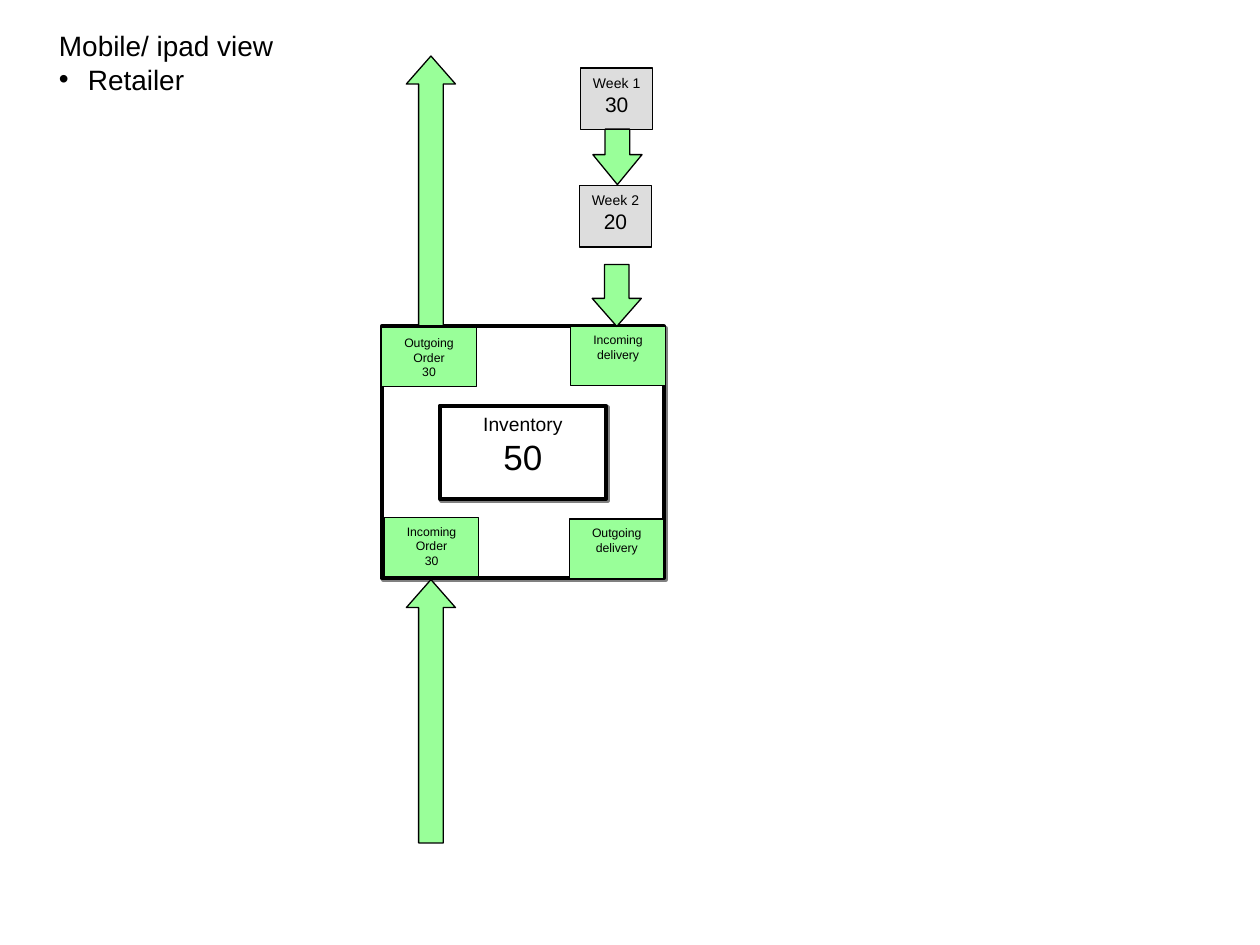
from dataclasses import dataclass

from lxml import etree
from pptx import Presentation
from pptx.dml.color import RGBColor
from pptx.enum.shapes import MSO_SHAPE
from pptx.enum.text import MSO_ANCHOR, MSO_AUTO_SIZE, PP_ALIGN
from pptx.oxml.ns import qn
from pptx.util import Inches, Pt

RECTANGLE, LEFT_ARROW = MSO_SHAPE.RECTANGLE, MSO_SHAPE.LEFT_ARROW
TOP, MIDDLE = MSO_ANCHOR.TOP, MSO_ANCHOR.MIDDLE
LEFT, CENTER = PP_ALIGN.LEFT, PP_ALIGN.CENTER
FIT_SHAPE = MSO_AUTO_SIZE.SHAPE_TO_FIT_TEXT
UP, DOWN = 90, 270  # turns of a left arrow


@dataclass(frozen=True)
class Theme:
    font: str = "Arial"
    ink: str = "000000"
    paper: str = "FFFFFF"
    green: str = "99FF99"
    gray: str = "DDDDDD"
    shadow: str = "808080"
    title: int = 16
    total: int = 20
    heading: int = 11
    quantity: int = 12
    week: int = 8
    label: int = 7
    thin: float = 0.74
    thick: float = 2.24


class Board:
    """Draws on one slide; lengths are columns and rows of a 0.1 inch grid."""

    def __init__(self, slide, theme):
        self.slide, self.theme = slide, theme

    def box_area(self, *lengths):
        return [Inches(length / 10) for length in lengths]

    def paint(self, shape, fill, width):
        shape.shadow.inherit = False
        shape.fill.solid()
        shape.fill.fore_color.rgb = RGBColor.from_string(fill)
        shape.line.color.rgb = RGBColor.from_string(self.theme.ink)
        shape.line.width = Pt(width)

    def add_lines(self, frame, lines, align, anchor=TOP):
        frame.word_wrap = False
        frame.vertical_anchor = anchor
        for index, (text, size) in enumerate(lines):
            paragraph = frame.paragraphs[0] if index == 0 else frame.add_paragraph()
            paragraph.alignment = align
            run = paragraph.add_run()
            run.text = text
            run.font.name, run.font.size = self.theme.font, Pt(size)
            run.font.color.rgb = RGBColor.from_string(self.theme.ink)

    def box(self, area, fill, lines=(), anchor=TOP, raised=False):
        shape = self.slide.shapes.add_shape(RECTANGLE, *self.box_area(*area))
        self.paint(shape, fill, self.theme.thick if raised else self.theme.thin)
        if raised:
            self.cast_shadow(shape)
        self.add_lines(shape.text_frame, lines, CENTER, anchor)

    def cast_shadow(self, shape):
        effects = shape._element.spPr.find(qn("a:effectLst"))
        shadow = etree.SubElement(effects, qn("a:outerShdw"), blurRad="0",
                                  dist=str(Pt(1.4)), dir="2700000", algn="ctr", rotWithShape="0")
        etree.SubElement(shadow, qn("a:srgbClr"), val=self.theme.shadow)

    def arrow(self, center, top, length, turn, head=0.57):
        thickness = 3.9
        area = (center - length / 2, top + (length - thickness) / 2, length, thickness)
        shape = self.slide.shapes.add_shape(LEFT_ARROW, *self.box_area(*area))
        shape.rotation = turn
        shape.adjustments[0], shape.adjustments[1] = 0.5, head
        self.paint(shape, self.theme.green, self.theme.thin)

    def heading(self, area, title, bullet):
        frame = self.slide.shapes.add_textbox(*self.box_area(*area)).text_frame
        self.add_lines(frame, [(title, self.theme.title), (bullet, self.theme.title)], LEFT)
        frame.auto_size = FIT_SHAPE
        properties = frame.paragraphs[1]._p.get_or_add_pPr()
        indent = Inches(0.23)
        properties.set("marL", str(indent))
        properties.set("indent", str(-indent))
        etree.SubElement(properties, qn("a:buFont"), typeface=self.theme.font)
        etree.SubElement(properties, qn("a:buChar"), char="•")


presentation = Presentation()
presentation.slide_width, presentation.slide_height = Inches(10), Inches(7.5)
theme = Theme()
board = Board(presentation.slides.add_slide(presentation.slide_layouts[6]), theme)

# Retailer frame
board.box((30.3, 25.9, 22.4, 20), theme.paper, raised=True)

# Order and delivery corners
corners = [
    (30.3, 26.0, ("Outgoing", "Order", "30"), MIDDLE),
    (30.5, 41.1, ("Incoming", "Order", "30"), TOP),
    (45.3, 25.9, ("Incoming", "delivery"), TOP),
    (45.2, 41.2, ("Outgoing", "delivery"), TOP),
]
for left, top, words, anchor in corners:
    board.box((left, top, 7.5, 4.7), theme.green, [(word, theme.label) for word in words], anchor)

# Inventory
board.box((34.9, 32.2, 13.2, 7.4), theme.paper,
          [("Inventory", theme.heading), ("50", theme.total)], raised=True)

# Delivery weeks
for left, top, week, quantity in [(46.1, 5.4, "Week 1", "30"), (46, 14.7, "Week 2", "20")]:
    board.box((left, top, 5.7, 4.9), theme.gray,
              [(week, theme.week), (quantity, theme.quantity)])

# Order flow upwards, delivery flow downwards
board.arrow(34.2, 4.45, 21.4, UP)
board.arrow(34.2, 46.0, 20.9, UP)
board.arrow(49.0, 10.25, 4.4, DOWN, head=0.61)
board.arrow(48.95, 21.0, 4.9, DOWN)

# Heading
board.heading((3.7, 1.8, 19, 6.4), "Mobile/ ipad view", "Retailer")

presentation.save("out.pptx")
